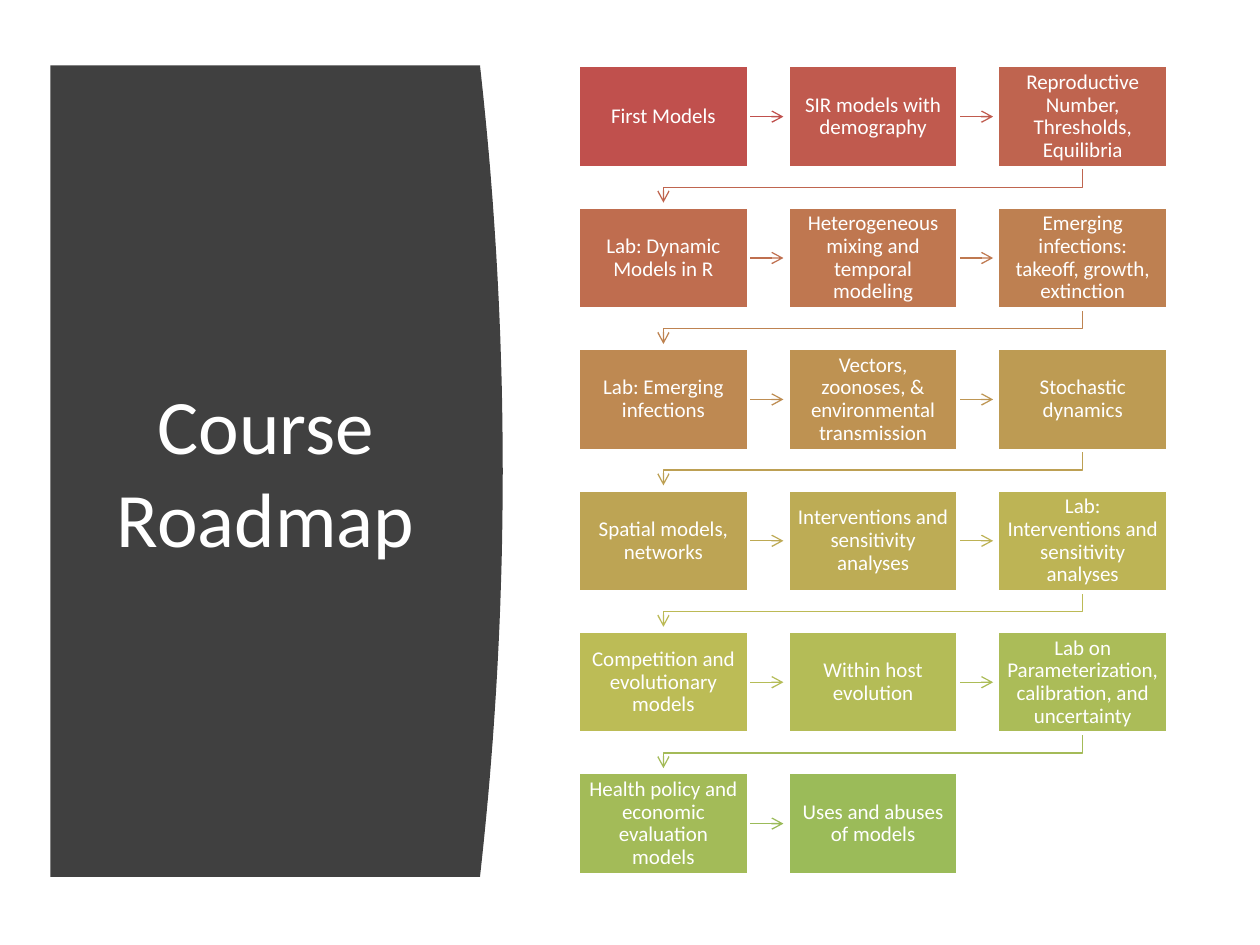
import colorsys
from dataclasses import dataclass

import lxml.etree
import pptx
import pptx.dml.color
import pptx.enum.shapes
import pptx.enum.text
import pptx.oxml.ns
import pptx.util

Pt = pptx.util.Pt
RGBColor = pptx.dml.color.RGBColor


@dataclass(frozen=True)
class Theme:
    font: str = "Calibri"
    title_size: float = 44
    topic_size: float = 12
    text: str = "FFFFFF"
    border: str = "FFFFFF"
    panel: str = "404040"
    first_topic: str = "C0504D"
    last_topic: str = "9BBB59"


THEME = Theme()

TOPICS = [
    "First Models",
    "SIR models with demography",
    "Reproductive Number, Thresholds, Equilibria",
    "Lab: Dynamic Models in R",
    "Heterogeneous mixing and temporal modeling",
    "Emerging infections: takeoff, growth, extinction",
    "Lab: Emerging infections",
    "Vectors, zoonoses, & environmental transmission",
    "Stochastic dynamics",
    "Spatial models, networks",
    "Interventions and sensitivity analyses",
    "Lab: Interventions and sensitivity analyses",
    "Competition and evolutionary models",
    "Within host evolution",
    "Lab on Parameterization, calibration, and uncertainty",
    "Health policy and economic evaluation models",
    "Uses and abuses of models",
]

COLUMNS = 3
GRID_LEFT, GRID_TOP = 330.5, 37.5
BOX_WIDTH, BOX_HEIGHT = 97.2, 58.3
COLUMN_STEP, ROW_STEP = 119.8, 80.8
ARROW_LENGTH, ARROW_BEND = 20, 11.3

PANEL_LEFT, PANEL_TOP, PANEL_BOTTOM = 28.8, 37.4, 501.1
PANEL_EDGE, PANEL_BULGE = 274.3, 13
PANEL_STEPS = 48


def blend(position):
    """Colour between the first and last topic colours, mixed by hue."""
    ends = [
        colorsys.rgb_to_hls(*(part / 255 for part in RGBColor.from_string(code)))
        for code in (THEME.first_topic, THEME.last_topic)
    ]
    mixed = [a + (b - a) * position for a, b in zip(*ends)]
    return RGBColor(*(round(part * 255) for part in colorsys.hls_to_rgb(*mixed)))


def topic_corner(index):
    row, column = divmod(index, COLUMNS)
    return GRID_LEFT + column * COLUMN_STEP, GRID_TOP + row * ROW_STEP


def add_outline(page, points, close):
    start, *rest = [(Pt(x), Pt(y)) for x, y in points]
    builder = page.shapes.build_freeform(*start)
    builder.add_line_segments(rest, close=close)
    outline = builder.convert_to_shape()
    outline.shadow.inherit = False
    return outline


def add_panel(page):
    """Dark panel whose right side bulges as a parabola."""
    points = [(PANEL_LEFT, PANEL_TOP)]
    for step in range(PANEL_STEPS + 1):
        share = step / PANEL_STEPS
        x = PANEL_EDGE + PANEL_BULGE * (1 - (2 * share - 1) ** 2)
        points.append((x, PANEL_TOP + share * (PANEL_BOTTOM - PANEL_TOP)))
    points.append((PANEL_LEFT, PANEL_BOTTOM))
    panel = add_outline(page, points, close=True)
    panel.fill.solid()
    panel.fill.fore_color.rgb = RGBColor.from_string(THEME.panel)
    panel.line.fill.background()


def write_text(box, text, size, spacing):
    frame = box.text_frame
    frame.word_wrap = True
    frame.vertical_anchor = pptx.enum.text.MSO_ANCHOR.MIDDLE
    para = frame.paragraphs[0]
    para.alignment = pptx.enum.text.PP_ALIGN.CENTER
    para.line_spacing = spacing
    span = para.add_run()
    span.text = text
    span.font.name = THEME.font
    span.font.size = Pt(size)
    span.font.color.rgb = RGBColor.from_string(THEME.text)


def add_title(page, text):
    box = page.shapes.add_textbox(Pt(51), Pt(80), Pt(201.6), Pt(377.3))
    write_text(box, text, THEME.title_size, 1.0)


def style_arrow(arrow, color):
    arrow.line.color.rgb = color
    arrow.line.width = Pt(0.75)
    tag = pptx.oxml.ns.qn("a:tailEnd")
    lxml.etree.SubElement(arrow.line._get_or_add_ln(), tag, type="arrow")


def add_straight_arrow(page, index, color):
    left, top = topic_corner(index)
    start, middle = left + BOX_WIDTH, top + BOX_HEIGHT / 2
    arrow = page.shapes.add_connector(
        pptx.enum.shapes.MSO_CONNECTOR.STRAIGHT,
        Pt(start), Pt(middle), Pt(start + ARROW_LENGTH), Pt(middle),
    )
    style_arrow(arrow, color)
    tag = pptx.oxml.ns.qn("a:effectLst")
    lxml.etree.SubElement(arrow._element.spPr, tag)


def add_return_arrow(page, index, color):
    """Arrow from the end of one row to the start of the next."""
    left, top = topic_corner(index)
    start, bottom = left + BOX_WIDTH / 2, top + BOX_HEIGHT
    end = GRID_LEFT + BOX_WIDTH / 2
    points = [
        (start, bottom),
        (start, bottom + ARROW_BEND),
        (end, bottom + ARROW_BEND),
        (end, bottom + ARROW_LENGTH),
    ]
    arrow = add_outline(page, points, close=False)
    arrow.fill.background()
    style_arrow(arrow, color)


def add_topic(page, index, text, color):
    left, top = topic_corner(index)
    box = page.shapes.add_shape(
        pptx.enum.shapes.MSO_SHAPE.RECTANGLE,
        Pt(left), Pt(top), Pt(BOX_WIDTH), Pt(BOX_HEIGHT),
    )
    box.shadow.inherit = False
    box.fill.solid()
    box.fill.fore_color.rgb = color
    box.line.color.rgb = RGBColor.from_string(THEME.border)
    box.line.width = Pt(2)
    frame = box.text_frame
    frame.margin_left = frame.margin_right = Pt(5)
    frame.margin_top = frame.margin_bottom = Pt(5)
    write_text(box, text, THEME.topic_size, 0.9)


def main():
    deck = pptx.Presentation()
    deck.slide_width, deck.slide_height = Pt(720), Pt(540)
    page = deck.slides.add_slide(deck.slide_layouts[6])
    add_panel(page)
    add_title(page, "Course Roadmap")
    last = len(TOPICS) - 1
    for index, text in enumerate(TOPICS):
        if index < last:
            ends_row = index % COLUMNS == COLUMNS - 1
            add_arrow = add_return_arrow if ends_row else add_straight_arrow
            add_arrow(page, index, blend(index / (last - 1)))
        add_topic(page, index, text, blend(index / last))
    deck.save("out.pptx")


if __name__ == "__main__":
    main()
